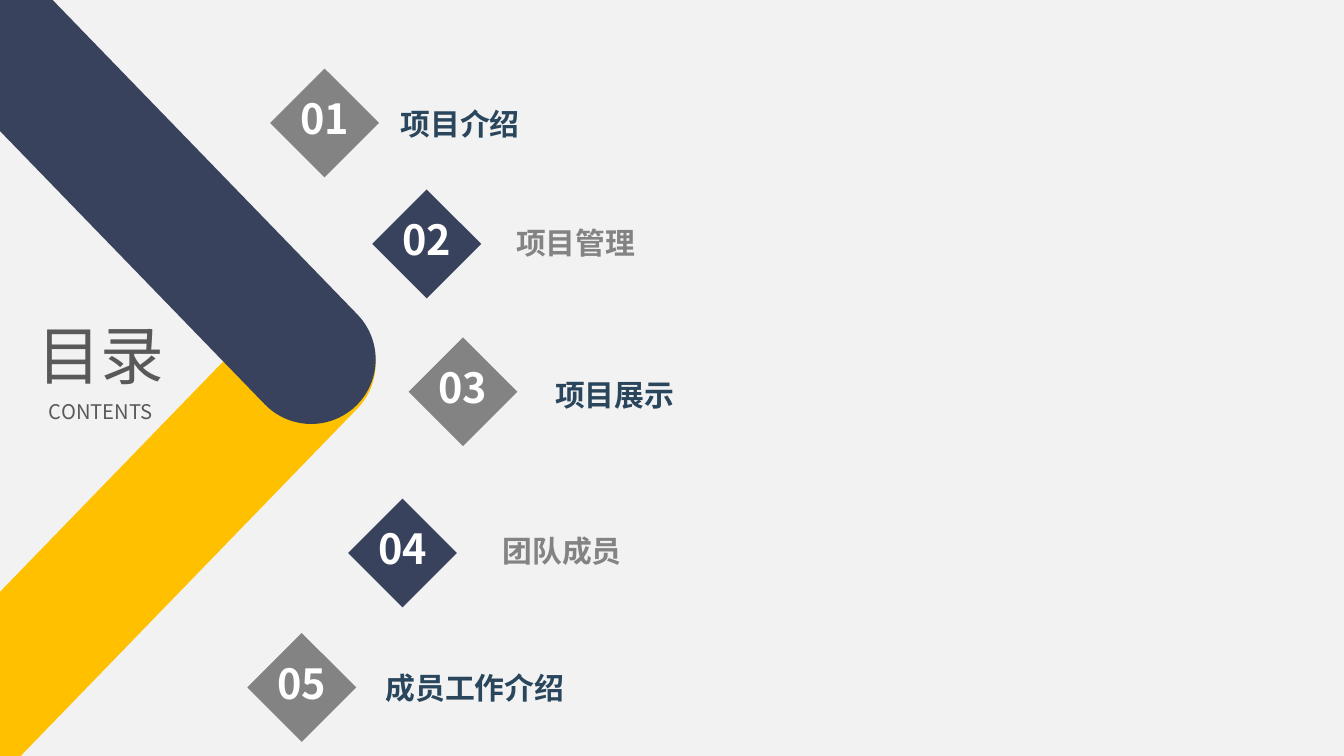
from lxml.etree import SubElement
from pptx import Presentation
from pptx.dml.color import RGBColor
from pptx.enum.shapes import MSO_SHAPE
from pptx.enum.text import MSO_ANCHOR, PP_ALIGN
from pptx.oxml.ns import qn
from pptx.util import Inches, Pt

FONT = "Noto Sans CJK SC"
COLORS = {"back": "F2F2F2", "navy": "39425D", "yellow": "FFC000",
          "gray": "838383", "blue": "2A465C", "title": "595959", "white": "FFFFFF"}

# Bands: top, rotation, colour (the first lies underneath)
BANDS = [(4.48, 314.1, "yellow"), (-0.06, 45.9, "navy")]

# Heading lines: text, top, height, size
HEADING = [("目录", 2.46, 0.48, 34.1), ("CONTENTS", 3.01, 0.15, 10.8)]

# Entries: text, diamond left and top, label left, top, width and height
ENTRIES = [
    ("项目介绍", (2.01, 0.51), (2.59, 0.66, 3.03, 0.39)),
    ("项目管理", (2.77, 1.41), (3.45, 1.55, 2.95, 0.39)),
    ("项目展示", (3.04, 2.51), (3.74, 2.56, 2.78, 0.51)),
    ("团队成员", (2.59, 3.71), (3.35, 3.84, 2.78, 0.39)),
    ("成员工作介绍", (1.84, 4.71), (2.48, 4.86, 3.03, 0.39)),
]
# Diamond and label colours take turns
PAIRS = [("gray", "blue"), ("navy", "gray")]
DIAMOND = 0.81


def rgb(name):
    return RGBColor.from_string(COLORS[name])


def add_shape(s, kind, box, color):
    sp = s.shapes.add_shape(kind, *map(Inches, box))
    sp.shadow.inherit = False
    sp.fill.solid()
    sp.fill.fore_color.rgb = rgb(color)
    sp.line.fill.background()
    return sp


def write(sp, text, *, size, color, bold=False, align=PP_ALIGN.CENTER,
          anchor=MSO_ANCHOR.TOP, wrap=False, spacing=0.8, insets=None):
    tf = sp.text_frame
    tf.word_wrap = wrap
    tf.vertical_anchor = anchor
    if insets:
        (tf.margin_left, tf.margin_top,
         tf.margin_right, tf.margin_bottom) = map(Inches, insets)
    p = tf.paragraphs[0]
    p.alignment = align
    p.line_spacing = spacing
    r = p.add_run()
    r.text = text
    r.font.size = Pt(size)
    r.font.bold = bold
    r.font.color.rgb = rgb(color)
    r.font.name = FONT
    # Chinese characters take the East Asian typeface
    SubElement(r.font._element, qn("a:ea"), typeface=FONT)


def main():
    # Widescreen slide, 16 to 9
    prs = Presentation()
    prs.slide_width = Inches(10)
    prs.slide_height = Inches(10 * 9 / 16)
    s = prs.slides.add_slide(prs.slide_layouts[6])
    s.background.fill.solid()
    s.background.fill.fore_color.rgb = rgb("back")

    # Crossing bands
    for top, rotation, color in BANDS:
        sp = add_shape(s, MSO_SHAPE.ROUNDED_RECTANGLE, (-3.49, top, 7.24, 0.96), color)
        sp.adjustments[0] = 0.5
        sp.rotation = rotation

    # Heading
    for text, top, height, size in HEADING:
        sp = s.shapes.add_textbox(*map(Inches, (0.12, top, 1.26, height)))
        write(sp, text, size=size, color="title", wrap=True, insets=(0, 0, 0, 0))

    # Numbered entries
    for i, (text, corner, box) in enumerate(ENTRIES):
        fill, ink = PAIRS[i % 2]
        sp = add_shape(s, MSO_SHAPE.DIAMOND, (*corner, DIAMOND, DIAMOND), fill)
        write(sp, f"{i + 1:02}", size=22.2, color="white", bold=True,
              anchor=MSO_ANCHOR.MIDDLE)
        sp = s.shapes.add_textbox(*map(Inches, box))
        write(sp, text, size=16, color=ink, bold=True, align=PP_ALIGN.LEFT,
              anchor=MSO_ANCHOR.BOTTOM, spacing=1.0, insets=(0.39, 0, 0, 0))

    prs.save("out.pptx")


if __name__ == "__main__":
    main()
